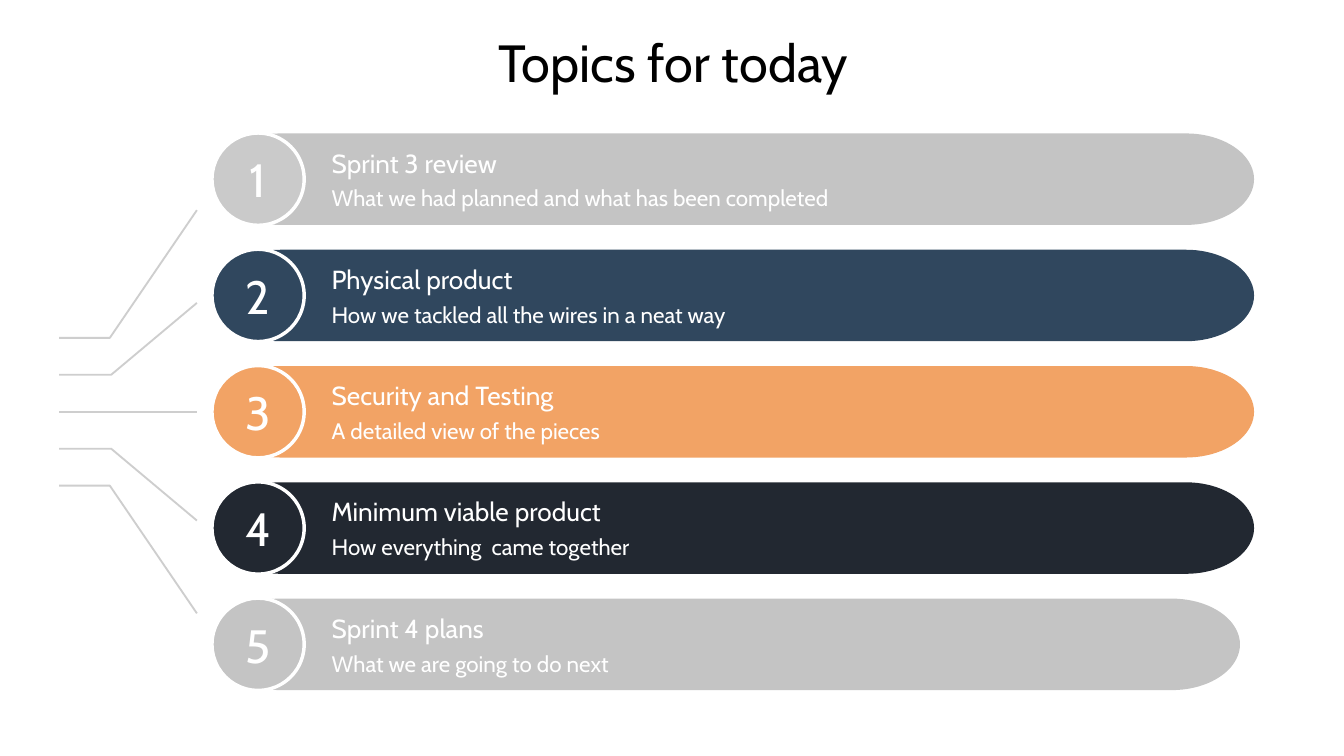
from math import cos, pi, sin

from lxml.etree import SubElement
from pptx import Presentation
from pptx.dml.color import RGBColor
from pptx.enum.shapes import MSO_CONNECTOR, MSO_SHAPE
from pptx.enum.text import MSO_ANCHOR as ANCHOR, PP_ALIGN as ALIGN
from pptx.oxml.ns import qn
from pptx.util import Pt

COLORS = {
    "black": "000000", "white": "FFFFFF", "grey": "C4C4C4", "pale": "CACACA",
    "navy": "30475E", "orange": "F2A365", "dark": "222831", "leader": "CECECE",
}
FONT = "Cabin"
TOP, STEP, BAR_H = 71.5, 62.3, 49
BAR_X, BAR_W, LAST_BAR_W, CAP = 113.8, 558, 550.5, 36.5
RING, RING_BAND = 51.2, 1.8
TEXT_X, HEADING_H = 170.6, 22.3
LEADER_X, LEADER_END = 31.7, 105.5
MIDDLE = TOP + 2 * STEP + BAR_H / 2

# heading, detail, bar colour, circle colour, bar width, detail width
TOPICS = [
    ("Sprint 3 review", "What we had planned and what has been completed",
     "grey", "pale", BAR_W, 329),
    ("Physical product", "How we tackled all the wires in a neat way",
     "navy", "navy", BAR_W, 329),
    ("Security and Testing", "A detailed view of the pieces",
     "orange", "orange", BAR_W, 289.4),
    ("Minimum viable product", "How everything  came together",
     "dark", "dark", BAR_W, 289.4),
    ("Sprint 4 plans", "What we are going to do next",
     "grey", "grey", LAST_BAR_W, 289.4),
]


def rgb(name):
    """Return the named colour."""
    return RGBColor.from_string(COLORS[name])


def paint(sp, color):
    """Give a shape a flat fill with no outline or shadow."""
    sp.shadow.inherit = False
    sp.fill.solid()
    sp.fill.fore_color.rgb = rgb(color)
    sp.line.fill.background()


def write(sp, text, size, color="white", align=ALIGN.LEFT, anchor=ANCHOR.TOP):
    """Set one paragraph of text in a shape."""
    tf = sp.text_frame
    tf.word_wrap = True
    tf.vertical_anchor = anchor
    tf.margin_left = tf.margin_right = tf.margin_top = tf.margin_bottom = Pt(7.2)
    p = tf.paragraphs[0]
    p.text = text
    p.alignment = align
    p.font.name, p.font.size, p.font.color.rgb = FONT, Pt(size), rgb(color)


def add_text(slide, box, text, size, **style):
    """Add a text box at left, top, width, height."""
    write(slide.shapes.add_textbox(*map(Pt, box)), text, size, **style)


def add_path(slide, points, close):
    """Add a freeform through points."""
    points = [(Pt(x), Pt(y)) for x, y in points]
    builder = slide.shapes.build_freeform(*points[0], scale=1.0)
    builder.add_line_segments(points[1:], close=close)
    return builder.convert_to_shape()


def add_bar(slide, y, width, color, steps=40):
    """Add a bar with elliptical ends."""
    r = BAR_H / 2
    caps = [(BAR_X + width - CAP, -pi / 2), (BAR_X + CAP, pi / 2)]
    points = [(x + CAP * cos(start + pi * i / steps), y + r + r * sin(start + pi * i / steps))
              for x, start in caps for i in range(steps + 1)]
    paint(add_path(slide, points, True), color)


def add_badge(slide, y, number, color):
    """Add a numbered circle with a white ring."""
    sp = slide.shapes.add_shape(MSO_SHAPE.OVAL, Pt(BAR_X), Pt(y), Pt(BAR_H), Pt(BAR_H))
    paint(sp, color)
    write(sp, str(number), 25, align=ALIGN.CENTER, anchor=ANCHOR.MIDDLE)
    gap = (RING - BAR_H) / 2
    ring = slide.shapes.add_shape(MSO_SHAPE.DONUT, Pt(BAR_X - gap), Pt(y - gap), Pt(RING), Pt(RING))
    ring.adjustments[0] = RING_BAND / RING
    paint(ring, "white")


def add_topic(slide, index, topic):
    """Add one topic row."""
    heading, detail, bar_color, badge_color, width, detail_w = topic
    y = TOP + index * STEP
    add_bar(slide, y, width, bar_color)
    add_badge(slide, y, index + 1, badge_color)
    add_text(slide, (TEXT_X, y, 289.4, HEADING_H), heading, 14)
    add_text(slide, (TEXT_X, y + HEADING_H, detail_w, BAR_H - HEADING_H), detail, 12,
             anchor=ANCHOR.BOTTOM)


def style_line(line):
    """Set the leader line colour and width."""
    line.color.rgb = rgb("leader")
    line.width = Pt(1)


def add_leaders(slide):
    """Add the leader lines mirrored about the middle row."""
    for elbow, start, end in [(58.9, 39.6, 108), (59.6, 19.8, 58.3)]:
        for side in (-1, 1):
            sp = add_path(slide, [(LEADER_X, MIDDLE + side * start), (elbow, MIDDLE + side * start),
                                  (LEADER_END, MIDDLE + side * end)], False)
            sp.shadow.inherit = False
            sp.fill.background()
            style_line(sp.line)
    line = slide.shapes.add_connector(MSO_CONNECTOR.STRAIGHT, Pt(LEADER_X), Pt(MIDDLE),
                                      Pt(LEADER_END), Pt(MIDDLE))
    style_line(line.line)
    SubElement(line._element.spPr, qn("a:effectLst"))


def main():
    """Build the topics slide."""
    prs = Presentation()
    prs.slide_width, prs.slide_height = Pt(720), Pt(405)
    slide = prs.slides.add_slide(prs.slide_layouts[6])
    add_text(slide, (56.2, 13.7, 608.4, 38.2), "Topics for today", 28, color="black",
             align=ALIGN.CENTER, anchor=ANCHOR.MIDDLE)
    for index, topic in enumerate(TOPICS):
        add_topic(slide, index, topic)
    add_leaders(slide)
    prs.save("out.pptx")


if __name__ == "__main__":
    main()
